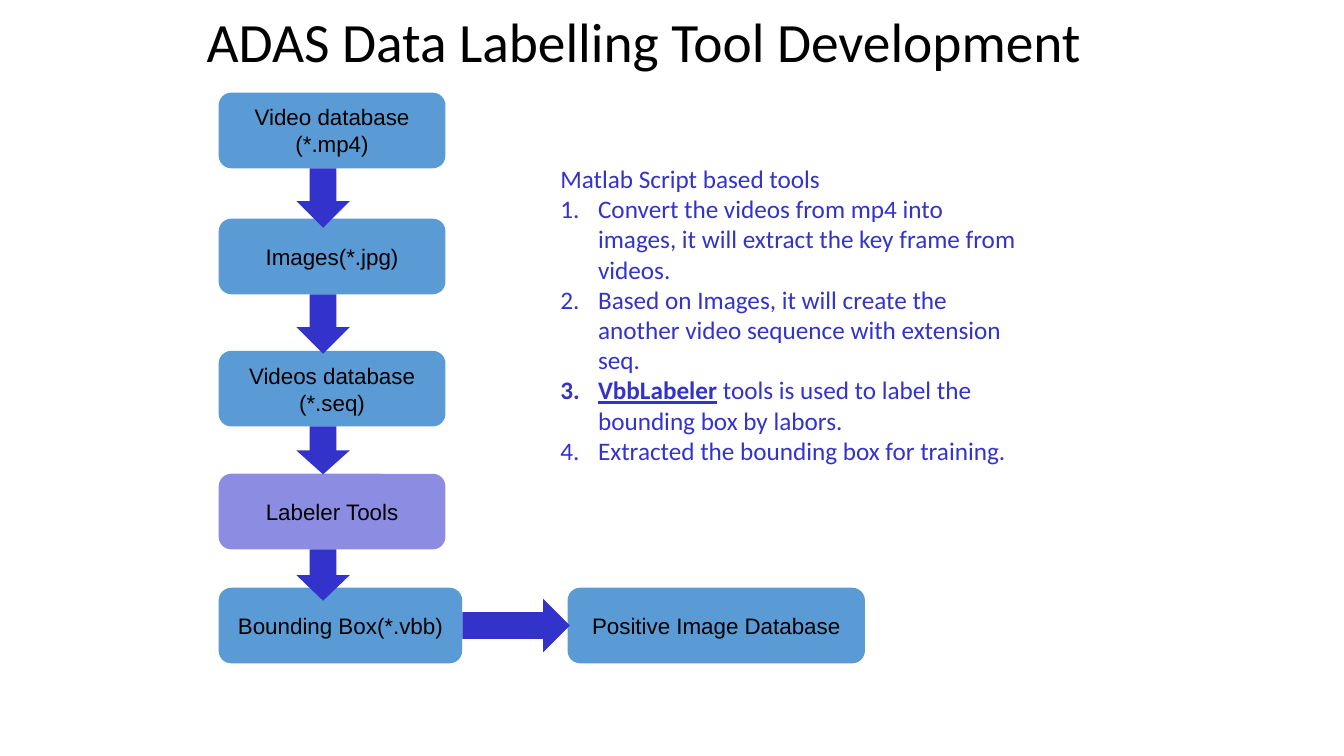
import lxml.etree
import pptx
import pptx.util
import pptx.dml.color
import pptx.enum.shapes
import pptx.enum.text
import pptx.oxml.ns

Pt = pptx.util.Pt
SHAPE = pptx.enum.shapes.MSO_SHAPE
ALIGN = pptx.enum.text.PP_ALIGN
ANCHOR = pptx.enum.text.MSO_ANCHOR
AUTO = pptx.enum.text.MSO_AUTO_SIZE
qn = pptx.oxml.ns.qn

BLACK, BLUE, INDIGO = "000000", "5B9BD5", "3333CC"
TITLE = "ADAS Data Labelling Tool Development"

# text, top, width, fill, opacity in percent, length of the arrow below
STEPS = [
    ("Video database (*.mp4)", 66.2, 162, BLUE, 100, 42.5),
    ("Images(*.jpg)", 156.2, 162, BLUE, 100, 42.5),
    ("Videos database (*.seq)", 250.6, 162, BLUE, 100, 34.2),
    ("Labeler Tools", 338.4, 162, INDIGO, 56, 36.7),
    ("Bounding Box(*.vbb)", 419.8, 174, BLUE, 100, 0),
]
RESULT = ("Positive Image Database", 405.4, 212.4)  # text, left, width
NOTES_HEAD = "Matlab Script based tools"
# each item: runs of (text, emphasised)
NOTES = [
    [("Convert the videos from mp4 into images, it will extract the key "
      "frame from videos.", False)],
    [("Based on Images, it will create the another video sequence with "
      "extension seq.", False)],
    [("VbbLabeler", True),
     (" tools is used to label the bounding box by labors.", False)],
    [("Extracted the bounding box for training.", False)],
]
LEFT, BOX_H = 156.2, 54
ARROW_LEFT, ARROW_W = 211.7, 38.2
INDENT = 27


def rgb(value):
    return pptx.dml.color.RGBColor.from_string(value)


def set_all(obj, **values):
    for name, value in values.items():
        setattr(obj, name, value)


def add_run(p, text, font, size, color, **style):
    r = p.add_run()
    r.text = text
    set_all(r.font, name=font, size=Pt(size), **style)
    r.font.color.rgb = rgb(color)


def add_shape(kind, left, top, width, height, fill, opacity=100):
    sp = s.shapes.add_shape(kind, Pt(left), Pt(top), Pt(width), Pt(height))
    sp.shadow.inherit = False
    sp.fill.solid()
    sp.fill.fore_color.rgb = rgb(fill)
    sp.line.fill.background()
    if opacity < 100:
        clr = sp._element.spPr.find(qn("a:solidFill")).find(qn("a:srgbClr"))
        alpha = lxml.etree.SubElement(clr, qn("a:alpha"))
        alpha.set("val", str(opacity * 1000))
    return sp


def add_box(text, left, top, width, fill=BLUE, opacity=100):
    sp = add_shape(SHAPE.ROUNDED_RECTANGLE, left, top, width, BOX_H,
                   fill, opacity)
    tf = sp.text_frame
    set_all(tf, word_wrap=True, vertical_anchor=ANCHOR.MIDDLE)
    p = tf.paragraphs[0]
    p.alignment = ALIGN.CENTER
    add_run(p, text, "Arial", 16, BLACK)


def number(p):
    """Give the paragraph automatic numbering with a hanging indent."""
    pPr = p._p.get_or_add_pPr()
    pPr.set("marL", str(int(Pt(INDENT))))
    pPr.set("indent", str(-int(Pt(INDENT))))
    bu = lxml.etree.SubElement(pPr, qn("a:buAutoNum"))
    bu.set("type", "arabicPeriod")


prs = pptx.Presentation()
set_all(prs, slide_width=Pt(960), slide_height=Pt(540))
s = prs.slides.add_slide(prs.slide_layouts[5])

title = s.shapes.title
set_all(title, left=Pt(140.4), top=Pt(12.2), width=Pt(649.4), height=Pt(38.9))
tf = title.text_frame
set_all(tf, word_wrap=True, auto_size=AUTO.NONE, vertical_anchor=ANCHOR.MIDDLE)
p = tf.paragraphs[0]
set_all(p, alignment=ALIGN.LEFT, line_spacing=0.9)
add_run(p, TITLE, "Calibri", 39.6, BLACK)

for text, top, width, fill, opacity, _ in STEPS:
    add_box(text, LEFT, top, width, fill, opacity)
last_top, last_width = STEPS[-1][1:3]
text, result_left, result_width = RESULT
add_box(text, result_left, last_top, result_width)

for step in STEPS[:-1]:
    add_shape(SHAPE.DOWN_ARROW, ARROW_LEFT, step[1] + BOX_H, ARROW_W, step[-1],
              INDIGO)
start = LEFT + last_width
add_shape(SHAPE.RIGHT_ARROW, start, last_top + (BOX_H - ARROW_W) / 2,
          result_left + 1.6 - start, ARROW_W, INDIGO)

notes = s.shapes.add_textbox(Pt(393.1), Pt(113), Pt(342), Pt(225.4))
tf = notes.text_frame
set_all(tf, word_wrap=True, auto_size=AUTO.SHAPE_TO_FIT_TEXT)
add_run(tf.paragraphs[0], NOTES_HEAD, "Calibri", 18, INDIGO)
for item in NOTES:
    p = tf.add_paragraph()
    number(p)
    for text, strong in item:
        add_run(p, text, "Calibri", 18, INDIGO, bold=strong, underline=strong)

prs.save("out.pptx")
